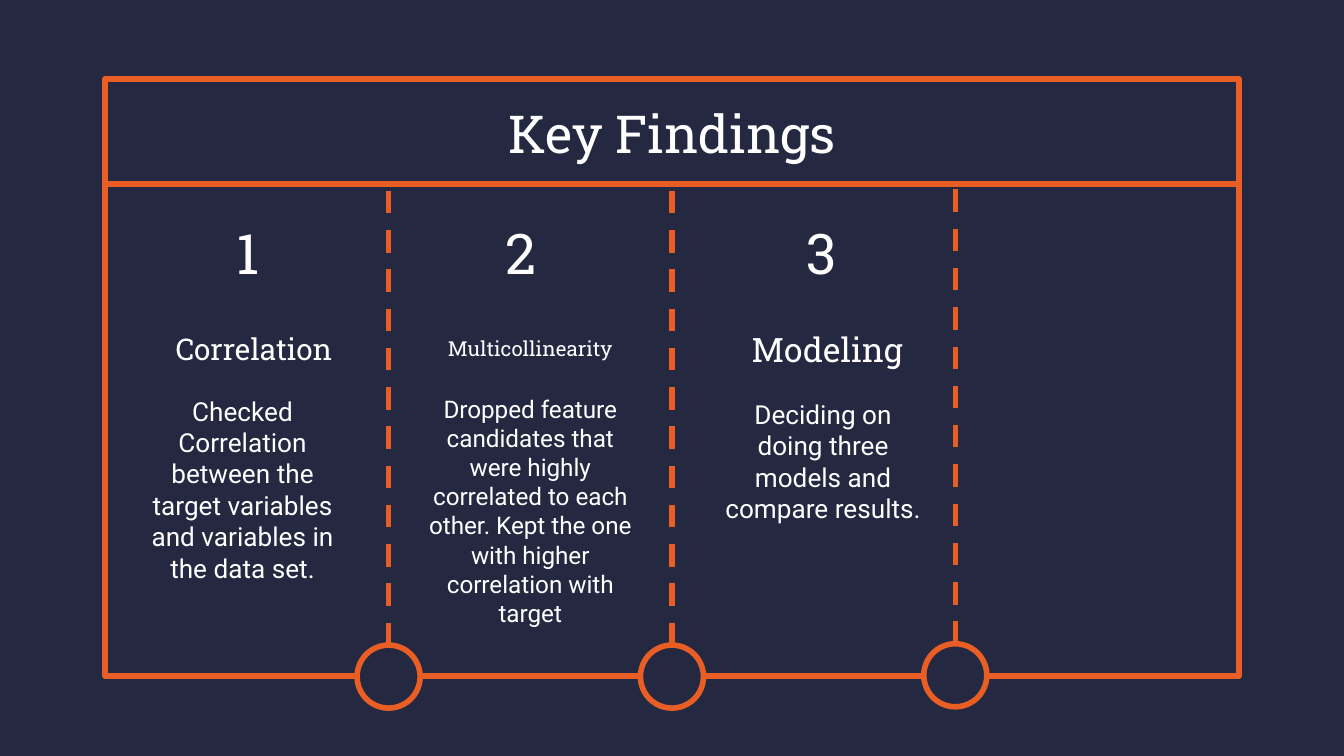
import dataclasses

import pptx
import pptx.dml.color
import pptx.enum.dml
import pptx.enum.shapes
import pptx.enum.text
import pptx.oxml.ns
import pptx.util
from lxml import etree

Pt = pptx.util.Pt
RGBColor = pptx.dml.color.RGBColor

NAVY = RGBColor(0x24, 0x28, 0x41)
ORANGE = RGBColor(0xE9, 0x5E, 0x24)
WHITE = RGBColor(0xFF, 0xFF, 0xFF)
HEADING_FONT = "Roboto Slab"
BODY_FONT = "Roboto"
LINE_WIDTH = 3
CIRCLE_SIZE = 33.8


@dataclasses.dataclass
class Area:
    left: float
    top: float
    width: float
    height: float

    def lengths(self) -> tuple:
        return Pt(self.left), Pt(self.top), Pt(self.width), Pt(self.height)


@dataclasses.dataclass
class Finding:
    number: str
    number_left: float
    heading: str
    heading_area: Area
    heading_size: float
    body: str
    body_area: Area
    body_size: float


@dataclasses.dataclass
class Divider:
    center: float
    top: float
    bottom: float


FRAME = Area(56.2, 42.5, 607.6, 319.7)

FINDINGS = [
    Finding(
        "1", 100.1, "Correlation", Area(71.3, 166.3, 129.6, 41), 16,
        "Checked Correlation between the target variables and variables in the data set.",
        Area(68.4, 236.9, 123.1, 50.4), 14,
    ),
    Finding(
        "2", 246.2, "Multicollinearity", Area(222.5, 166.3, 123.1, 41), 11,
        "Dropped feature candidates that were highly correlated to each other. "
        "Kept the one with higher correlation with target",
        Area(222.5, 248.4, 123.1, 50.4), 13,
    ),
    Finding(
        "3", 407.5, "Modeling", Area(381.6, 166.3, 123.1, 41), 18,
        "Deciding on doing three models and compare results.",
        Area(379.4, 221.8, 123.1, 50.4), 14,
    ),
]

DIVIDERS = [
    Divider(208.2, 99.4, 345.6),
    Divider(360, 93.6, 345.6),
    Divider(511.8, 100.1, 344.9),
]


def write_text(box, text: str, font: str, size: float, space_after: float = 0) -> None:
    frame = box.text_frame
    frame.text = text
    frame.word_wrap = True
    frame.auto_size = pptx.enum.text.MSO_AUTO_SIZE.NONE
    frame.vertical_anchor = pptx.enum.text.MSO_ANCHOR.MIDDLE
    frame.margin_left = frame.margin_right = Pt(7.2)
    frame.margin_top = frame.margin_bottom = Pt(7.2)
    para = frame.paragraphs[0]
    para.alignment = pptx.enum.text.PP_ALIGN.CENTER
    para.space_after = Pt(space_after)
    span = para.runs[0]
    span.font.name = font
    span.font.size = Pt(size)
    span.font.color.rgb = WHITE


def add_text(page, area: Area, text: str, font: str, size: float, space_after: float = 0) -> None:
    box = page.shapes.add_textbox(*area.lengths())
    write_text(box, text, font, size, space_after)


def style_line(line) -> None:
    line.color.rgb = ORANGE
    line.width = Pt(LINE_WIDTH)


def add_line(page, x1: float, y1: float, x2: float, y2: float, dashed: bool = False) -> None:
    connector = page.shapes.add_connector(
        pptx.enum.shapes.MSO_CONNECTOR.STRAIGHT, Pt(x1), Pt(y1), Pt(x2), Pt(y2)
    )
    style_line(connector.line)
    if dashed:
        connector.line.dash_style = pptx.enum.dml.MSO_LINE.DASH
    etree.SubElement(connector._element.spPr, pptx.oxml.ns.qn("a:effectLst"))


def add_outline(page, kind: pptx.enum.shapes.MSO_SHAPE, area: Area, filled: bool) -> None:
    shape = page.shapes.add_shape(kind, *area.lengths())
    shape.shadow.inherit = False
    if filled:
        shape.fill.solid()
        shape.fill.fore_color.rgb = NAVY
    else:
        shape.fill.background()
    style_line(shape.line)


def add_finding(page, finding: Finding) -> None:
    number_area = Area(finding.number_left, 114.5, 65.5, 41)
    add_text(page, number_area, finding.number, HEADING_FONT, 30)
    add_text(page, finding.heading_area, finding.heading, HEADING_FONT, finding.heading_size, 12)
    add_text(page, finding.body_area, finding.body, BODY_FONT, finding.body_size)


def add_divider(page, divider: Divider) -> None:
    add_line(page, divider.center, divider.bottom, divider.center, divider.top, dashed=True)
    circle = Area(divider.center - CIRCLE_SIZE / 2, divider.bottom, CIRCLE_SIZE, CIRCLE_SIZE)
    add_outline(page, pptx.enum.shapes.MSO_SHAPE.OVAL, circle, filled=True)


def main() -> None:
    deck = pptx.Presentation()
    deck.slide_width, deck.slide_height = Pt(720), Pt(405)
    page = deck.slides.add_slide(deck.slide_layouts.get_by_name("Title Only"))
    page.background.fill.solid()
    page.background.fill.fore_color.rgb = NAVY

    add_line(page, 57.6, 98.6, 662.4, 98.6)
    add_outline(page, pptx.enum.shapes.MSO_SHAPE.RECTANGLE, FRAME, filled=False)

    title = page.shapes.title
    title.left, title.top, title.width, title.height = Area(56.2, 48.2, 607.6, 45.4).lengths()
    write_text(title, "Key Findings", HEADING_FONT, 28)

    for finding in FINDINGS:
        add_finding(page, finding)
    for divider in DIVIDERS:
        add_divider(page, divider)

    deck.save("out.pptx")


if __name__ == "__main__":
    main()
